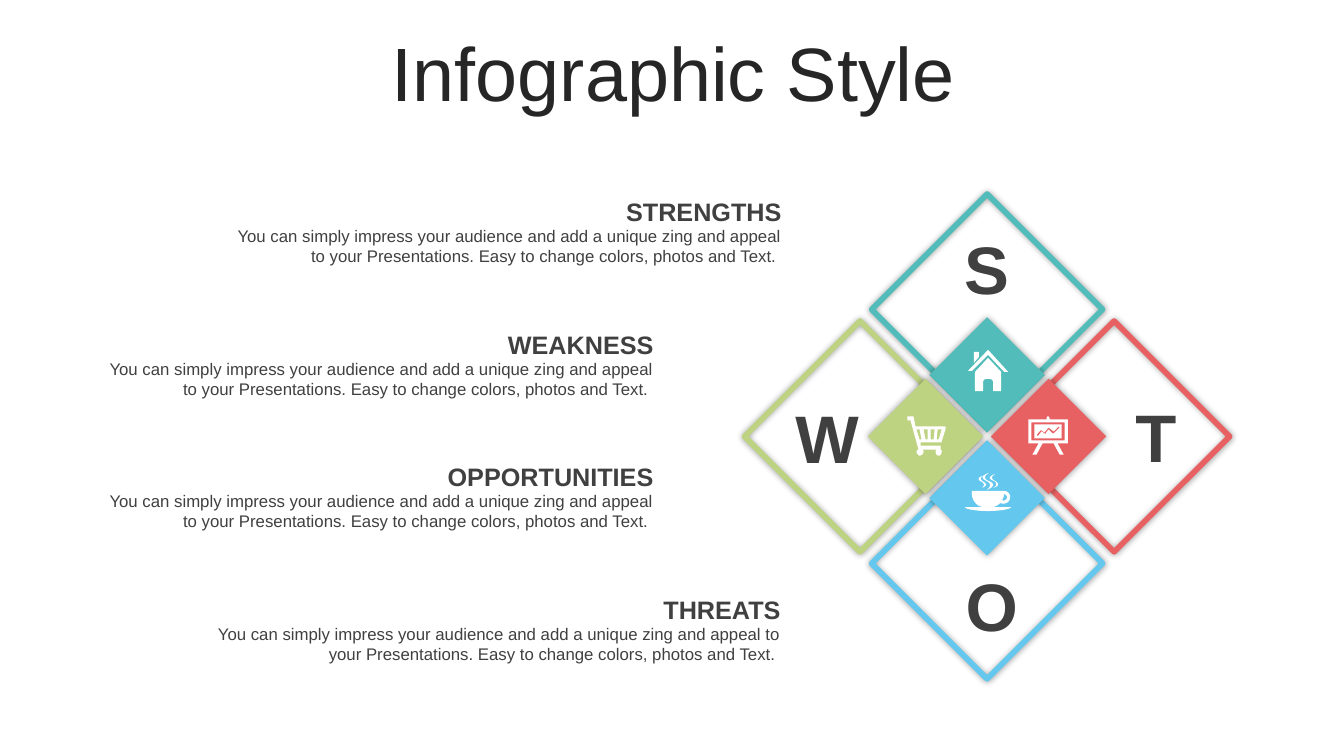
from dataclasses import dataclass

from lxml import etree
from pptx import Presentation
from pptx import util as u
from pptx.dml.color import RGBColor
from pptx.enum import shapes, text
from pptx.oxml import ns


@dataclass(frozen=True)
class Theme:
    font: str = "Arial"
    title_color: str = "262626"
    text_color: str = "404040"
    white: str = "FFFFFF"
    shadow: str = "000000"
    teal: str = "51BCB9"
    red: str = "E86162"
    blue: str = "63C7EE"
    green: str = "BED381"
    title_size: int = 54
    letter_size: int = 48
    heading_size: int = 18
    body_size: int = 12


THEME = Theme()
CENTER_X, CENTER_Y = 9.79, 4.33
OUTER_SIDE, OUTER_REACH = 1.62, 1.26
INNER_SIDE, INNER_REACH = 0.81, 0.61

# Direction from the center, color, letter, left and top of the letter box
QUADRANTS = [
    (0, -1, THEME.teal, "S", 9.46, 2.2),
    (1, 0, THEME.red, "T", 11.14, 3.87),
    (0, 1, THEME.blue, "O", 9.48, 5.54),
    (-1, 0, THEME.green, "W", 7.79, 3.88),
]

BODY = ("You can simply impress your audience and add a unique zing and appeal "
        "to your Presentations. Easy to change colors, photos and Text. ")
FIRST_TOP, ROW_STEP = 1.9, 1.315
# Heading, left and width of its boxes
ROWS = [
    ("STRENGTHS", 2.11, 5.74),
    ("WEAKNESS", 0.84, 5.74),
    ("OPPORTUNITIES", 0.84, 5.74),
    ("THREATS", 2.06, 5.78),
]

# Closed contours in hundredths of an inch: two numbers are a corner,
# six are the two handles and the end of a curve.
BOARD = [
    "1050 423, 1045 428, 1041 425, 1040 424, 1036 429, 1033 427, 1032 427, 1028.5 431,"
    "1028 432 1029 433 1030 432, 1033 428, 1036 430, 1036 431 1037 431 1037 430,"
    "1040 426, 1044 430, 1045 430, 1051 424",
    "1026 421, 1053 421, 1053 435, 1026 435",
    "1023 419, 1023 437, 1056 437, 1056 419",
    "1039 413, 1040 413 1041 414 1041 415, 1041 416, 1059 416, 1059 440, 1049 440,"
    "1055 451, 1051 451, 1045 440, 1034 440, 1028 451, 1024 451, 1030 440, 1020 440,"
    "1020 416, 1038 416, 1038 415, 1038 414 1039 413 1039 413",
]
CART = [
    "930 426, 929 436, 931 436, 934 426",
    "923 426, 923 436, 926 436, 927 426",
    "916 426, 918 436, 920 436, 920 426",
    "909 426, 912 436, 914 436, 912 426",
    "906 413, 908 423, 936 423, 937 423, 938 423 938 424 938 425, 934 438,"
    "934 439 933 439 933 439, 913 439, 913 442, 933 442, 933 446,"
    "934 446 934 447 934 448, 934 450 933 452 931 452, 929 452 928 450 928 448,"
    "928 447 928 446 930 446, 914 446, 915 446 916 447 916 448,"
    "916 450 914 452 912 452, 911 452 909 450 909 448, 909 447 910 446 911 446,"
    "903 417, 900 417, 900 413, 905 413",
]
HOUSE = [
    "980 355, 993 369, 993 388, 985 388, 985 379, 985 378 984 376 982 376, 978 376,"
    "976 376 975 378 975 379, 975 388, 967 388, 967 369",
    "966 349, 971 349, 971 354, 966 360",
    "980 347, 1000 369, 996 369, 980 352",
    "980 347, 980 352, 964 368, 960 368",
]
CUP = [
    "996 490, 996 492 995 494 994 496, 995 497 996 497 997 496,"
    "998 496 999 494 999 493, 998 491 997 490 996 490",
    "996 487, 999 487 1001 489 1002 492, 1002 495 1001 498 998 499,"
    "996 500 994 500 992 499, 991 500 990 501 988 502, 987 502 986 503 985 503,"
    "1003 503, 1003 505 992 507 980 507, 967 507 957 505 957 503, 975 503,"
    "974 503 972 502 971 502, 966 499 963 493 964 487",
    "975 472, 974 473 972 474 973 475, 973 478 978 478 978 481,"
    "977 483 976 483 974 484, 975 483 976 482 976 481, 976 478 972 478 971 476,"
    "970 474 972 473 975 472",
    "987 470, 985 472 984 472 984 474, 984 477 990 477 990 481,"
    "989 483 988 483 985 484, 987 483 988 482 988 480, 988 477 984 477 982 475,"
    "981 473 983 472 987 470",
    "981 469, 979 471 977 471 977 474, 978 478 985 477 985 481,"
    "984 484 983 484 979 486, 981 484 982 483 982 481, 982 478 977 477 975 475,"
    "974 472 976 471 981 469",
]


def write(frame, words, *, size, color=THEME.text_color, bold=False,
          align=text.PP_ALIGN.CENTER, anchor=text.MSO_ANCHOR.TOP, spacing=None):
    frame.word_wrap = True
    frame.vertical_anchor = anchor
    para = frame.paragraphs[0]
    para.alignment = align
    para.line_spacing = spacing
    span = para.add_run()
    span.text = words
    span.font.name = THEME.font
    span.font.size = u.Pt(size)
    span.font.bold = bold
    span.font.color.rgb = RGBColor.from_string(color)


def add_text(page, left, top, width, height, words, **style):
    place = [u.Inches(n) for n in (left, top, width, height)]
    write(page.shapes.add_textbox(*place).text_frame, words, **style)


def add_title(page, words):
    title = page.shapes.title
    title.left, title.top = u.Inches(0.35), u.Inches(0.37)
    title.width, title.height = u.Inches(12.66), u.Inches(0.79)
    write(title.text_frame, words, size=THEME.title_size, color=THEME.title_color,
          anchor=text.MSO_ANCHOR.MIDDLE, spacing=0.9)


def add_glow(shape):
    """Give the shape a soft shadow with no offset."""
    shape.shadow.inherit = False
    effects = shape._element.spPr.find(ns.qn("a:effectLst"))
    shadow = etree.SubElement(effects, ns.qn("a:outerShdw"),
                              blurRad=str(u.Pt(5)), dist="0", dir="0",
                              algn="ctr", rotWithShape="0")
    color = etree.SubElement(shadow, ns.qn("a:srgbClr"), val=THEME.shadow)
    etree.SubElement(color, ns.qn("a:alpha"), val="40000")


def add_diamond(page, x, y, side, color, outlined=False):
    """Draw a square turned by 45 degrees around its center x, y."""
    box = page.shapes.add_shape(
        shapes.MSO_SHAPE.RECTANGLE, u.Inches(x - side / 2), u.Inches(y - side / 2),
        u.Inches(side), u.Inches(side))
    box.rotation = 45
    if outlined:
        box.fill.background()
        box.line.color.rgb = RGBColor.from_string(color)
        box.line.width = u.Pt(4)
    else:
        box.fill.solid()
        box.fill.fore_color.rgb = RGBColor.from_string(color)
        box.line.fill.background()
    add_glow(box)


def trace(contour, steps=6):
    """Turn a contour into points in EMU, with its curves sampled."""
    points = []
    for segment in contour.split(","):
        numbers = [u.Inches(float(n) / 100) for n in segment.split()]
        if len(numbers) == 2:
            points.append(tuple(numbers))
            continue
        knots = [points[-1], *zip(numbers[::2], numbers[1::2])]
        for step in range(1, steps + 1):
            t = step / steps
            weights = ((1 - t) ** 3, 3 * t * (1 - t) ** 2, 3 * t * t * (1 - t), t ** 3)
            points.append(tuple(sum(w * knot[axis] for w, knot in zip(weights, knots))
                                for axis in (0, 1)))
    return points


def add_icon(page, contours):
    first, *others = [trace(contour) for contour in contours]
    builder = page.shapes.build_freeform(*first[0])
    builder.add_line_segments(first[1:], close=True)
    for points in others:
        builder.move_to(*points[0])
        builder.add_line_segments(points[1:], close=True)
    icon = builder.convert_to_shape()
    icon.shadow.inherit = False
    icon.fill.solid()
    icon.fill.fore_color.rgb = RGBColor.from_string(THEME.white)
    icon.line.fill.background()


def main():
    deck = Presentation()
    deck.slide_width, deck.slide_height = u.Inches(13.33), u.Inches(7.5)
    page = deck.slides.add_slide(deck.slide_layouts[5])
    add_title(page, "Infographic Style")

    for side, reach, outlined in ((OUTER_SIDE, OUTER_REACH, True),
                                  (INNER_SIDE, INNER_REACH, False)):
        for dx, dy, color, *_ in QUADRANTS:
            add_diamond(page, CENTER_X + dx * reach, CENTER_Y + dy * reach,
                        side, color, outlined)
    for *_, letter, left, top in QUADRANTS:
        add_text(page, left, top, 0.65, 0.91, letter, size=THEME.letter_size,
                 bold=True, anchor=text.MSO_ANCHOR.MIDDLE)

    for index, (heading, left, width) in enumerate(ROWS):
        top = FIRST_TOP + index * ROW_STEP
        add_text(page, left, top, width, 0.3, heading, size=THEME.heading_size,
                 bold=True, align=text.PP_ALIGN.RIGHT)
        add_text(page, left, top + 0.29, width, 0.5, BODY, size=THEME.body_size,
                 align=text.PP_ALIGN.RIGHT)

    for contours in (BOARD, CART, HOUSE, CUP):
        add_icon(page, contours)
    deck.save("out.pptx")


if __name__ == "__main__":
    main()
